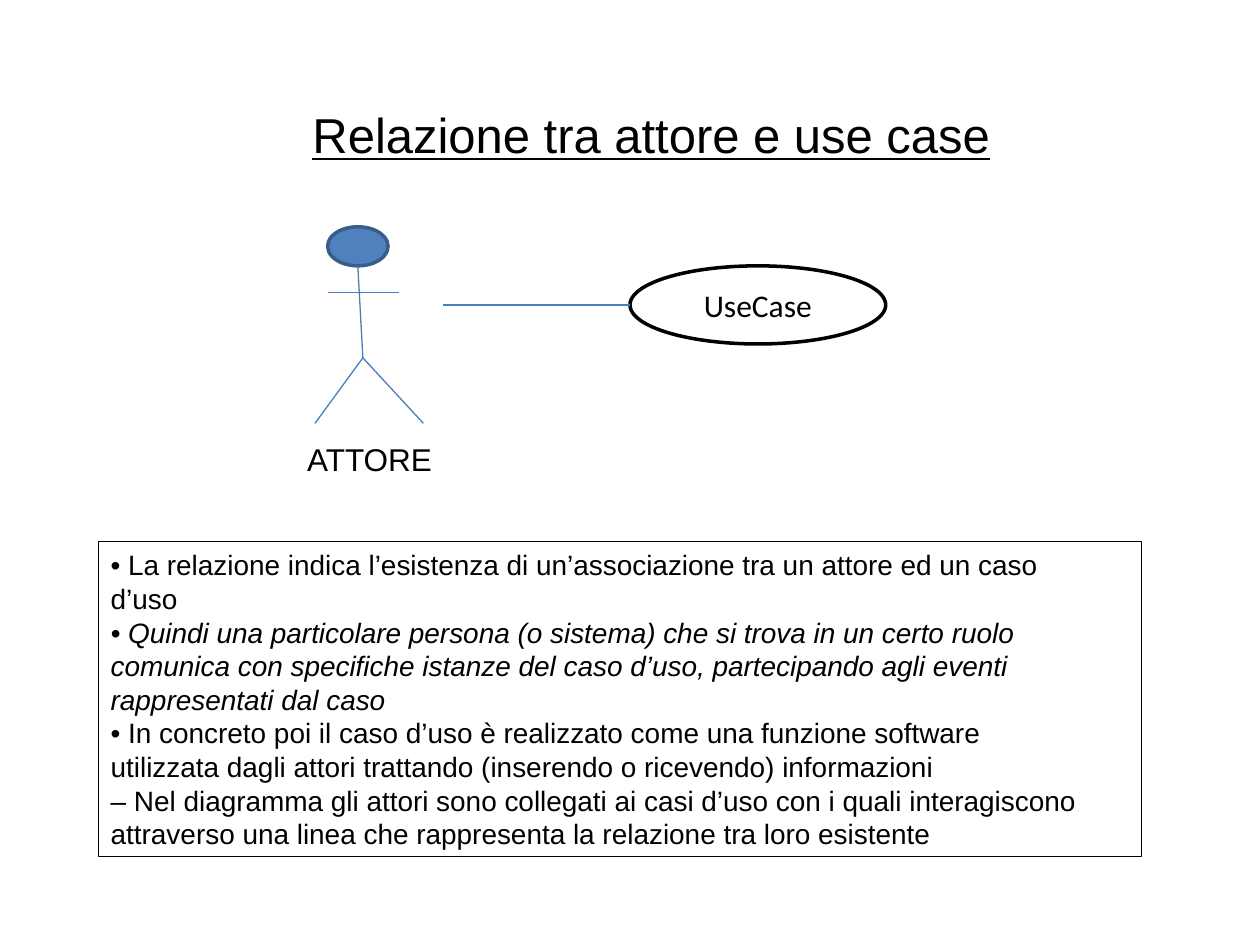
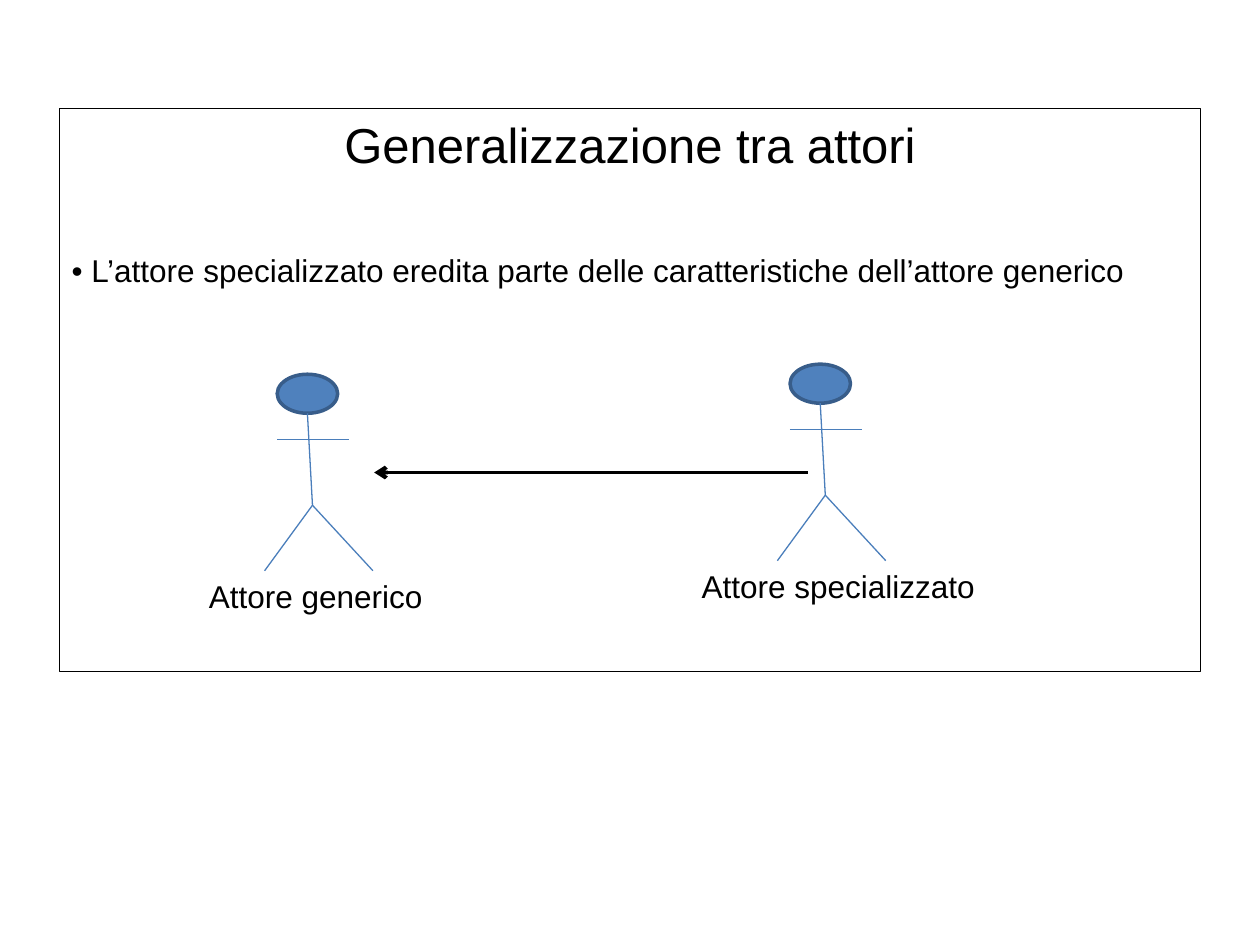
from dataclasses import dataclass

from lxml import etree
from pptx import Presentation
from pptx import util as u
from pptx.dml.color import RGBColor
from pptx.enum import shapes, text
from pptx.oxml import ns

# Content
RELATION = {
    "title": "Relazione tra attore e use case",
    "actor": "ATTORE",
    "case": "UseCase",
    # (text, italic); \v keeps a fixed line break
    "notes": [
        ("• La relazione indica l’esistenza di un’associazione tra un attore ed un caso\v"
         "d’uso", False),
        ("• Quindi una particolare persona (o sistema) che si trova in un certo ruolo\v"
         "comunica con specifiche istanze del caso d’uso, partecipando agli eventi\v"
         "rappresentati dal caso", True),
        ("• In concreto poi il caso d’uso è realizzato come una funzione software\v"
         "utilizzata dagli attori trattando (inserendo o ricevendo) informazioni", False),
        ("– Nel diagramma gli attori sono collegati ai casi d’uso con i quali interagiscono\v"
         "attraverso una linea che rappresenta la relazione tra loro esistente", False),
    ],
}
GENERAL = {
    "title": "Generalizzazione tra attori",
    "notes": [("• L’attore specializzato eredita parte delle caratteristiche "
               "dell’attore generico", False)],
    # name, head corner, label box
    "actors": [
        ("Attore generico", (2.2, 2.97), (1.56, 4.53, 2.34, 0.4)),
        ("Attore specializzato", (6.27, 2.89), (5.47, 4.45, 2.58, 0.4)),
    ],
}

# Stick figure, measured from the corner of the head
HEAD = (0.48, 0.31)
HIP = (0.28, 1.04)
LIMBS = [
    (HIP, (0.24, 0.31)),
    ((0, 0.52), (0.57, 0.52)),
    (HIP, (-0.1, 1.56)),
    (HIP, (0.76, 1.56)),
]


@dataclass(frozen=True)
class Theme:
    ink: str = "000000"
    head: str = "4F81BD"
    rim: str = "385D8A"
    limb: str = "4A7EBB"
    font: str = "Arial"
    oval: str = "Calibri"
    title: int = 28
    label: int = 18
    note: int = 16
    thin: float = 0.75
    edge: float = 2
    arrow: float = 2.25


T = Theme()
LEFT, MID = text.PP_ALIGN.LEFT, text.PP_ALIGN.CENTER


# Helpers
def inch(*nums):
    return [u.Inches(n) for n in nums]


def stroke(line, color, width):
    line.color.rgb = RGBColor.from_string(color)
    line.width = u.Pt(width)


def style(para, size, font=T.font, align=LEFT, italic=False, under=False):
    para.alignment = align
    for run in para.runs:
        f = run.font
        f.name, f.size = font, u.Pt(size)
        f.color.rgb = RGBColor.from_string(T.ink)
        f.italic, f.underline = italic, under


def set_title(slide, words, box, **look):
    shape = slide.shapes.title
    shape.left, shape.top, shape.width, shape.height = inch(*box)
    frame = shape.text_frame
    frame.text = words
    frame.auto_size = text.MSO_AUTO_SIZE.NONE
    frame.vertical_anchor = text.MSO_ANCHOR.TOP
    style(frame.paragraphs[0], T.title, **look)


def add_label(slide, words, box):
    frame = slide.shapes.add_textbox(*inch(*box)).text_frame
    frame.word_wrap = True
    frame.text = words
    style(frame.paragraphs[0], T.label)


def add_form(parent, kind, box, edge, width, fill=None):
    shape = parent.add_shape(kind, *inch(*box))
    shape.shadow.inherit = False
    if fill:
        shape.fill.solid()
        shape.fill.fore_color.rgb = RGBColor.from_string(fill)
    else:
        shape.fill.background()
    stroke(shape.line, edge, width)
    return shape


def add_line(parent, start, end, color=T.limb, width=T.thin, arrow=False):
    line = parent.add_connector(shapes.MSO_CONNECTOR.STRAIGHT, *inch(*start, *end))
    stroke(line.line, color, width)
    if arrow:
        tip = etree.SubElement(line.line._get_or_add_ln(), ns.qn("a:tailEnd"))
        tip.set("type", "arrow")
    etree.SubElement(line._element.spPr, ns.qn("a:effectLst"))


def add_actor(slide, x, y):
    group = slide.shapes.add_group_shape().shapes
    add_form(group, shapes.MSO_SHAPE.OVAL, (x, y, *HEAD), T.rim, T.edge, T.head)
    for (ax, ay), (bx, by) in LIMBS:
        add_line(group, (x + ax, y + ay), (x + bx, y + by))


def add_notes(slide, notes, box, size, top=0.05):
    shape = add_form(slide.shapes, shapes.MSO_SHAPE.RECTANGLE, box, T.ink, T.thin)
    frame = shape.text_frame
    frame.word_wrap = True
    frame.vertical_anchor = text.MSO_ANCHOR.TOP
    frame.margin_top = u.Inches(top)
    for i, (words, italic) in enumerate(notes):
        para = frame.add_paragraph() if i else frame.paragraphs[0]
        para.text = words
        style(para, size, italic=italic)


# Slides
def draw_relation(slide):
    data = RELATION
    set_title(slide, data["title"], (2.38, 0.78, 5.8, 0.57), under=True)
    add_actor(slide, 2.6, 1.8)
    add_label(slide, data["actor"], (2.34, 3.44, 1.33, 0.4))

    # Use case and its link
    oval = add_form(slide.shapes, shapes.MSO_SHAPE.OVAL, (5, 2.11, 2.03, 0.62),
                    T.ink, T.edge)
    oval.text_frame.text = data["case"]
    oval.text_frame.vertical_anchor = text.MSO_ANCHOR.MIDDLE
    style(oval.text_frame.paragraphs[0], T.label, T.oval, MID)
    add_line(slide.shapes, (5, 2.42), (3.52, 2.42))

    add_notes(slide, data["notes"], (0.78, 4.3, 8.28, 2.5), T.note)


def draw_general(slide):
    data = GENERAL
    left, top, width, high = 0.47, 0.86, 9.06, 4.47
    set_title(slide, data["title"], (left, top, width, 0.57), align=MID)
    add_notes(slide, data["notes"], (left, top, width, high), T.label, top=1.13)
    for name, head, box in data["actors"]:
        add_actor(slide, *head)
        add_label(slide, name, box)
    add_line(slide.shapes, (6.41, 3.75), (2.97, 3.75), T.ink, T.arrow, arrow=True)


def main():
    deck = Presentation()
    deck.slide_width, deck.slide_height = inch(10, 7.5)
    for draw in (draw_relation, draw_general):
        draw(deck.slides.add_slide(deck.slide_layouts[5]))
    deck.save("out.pptx")


if __name__ == "__main__":
    main()
